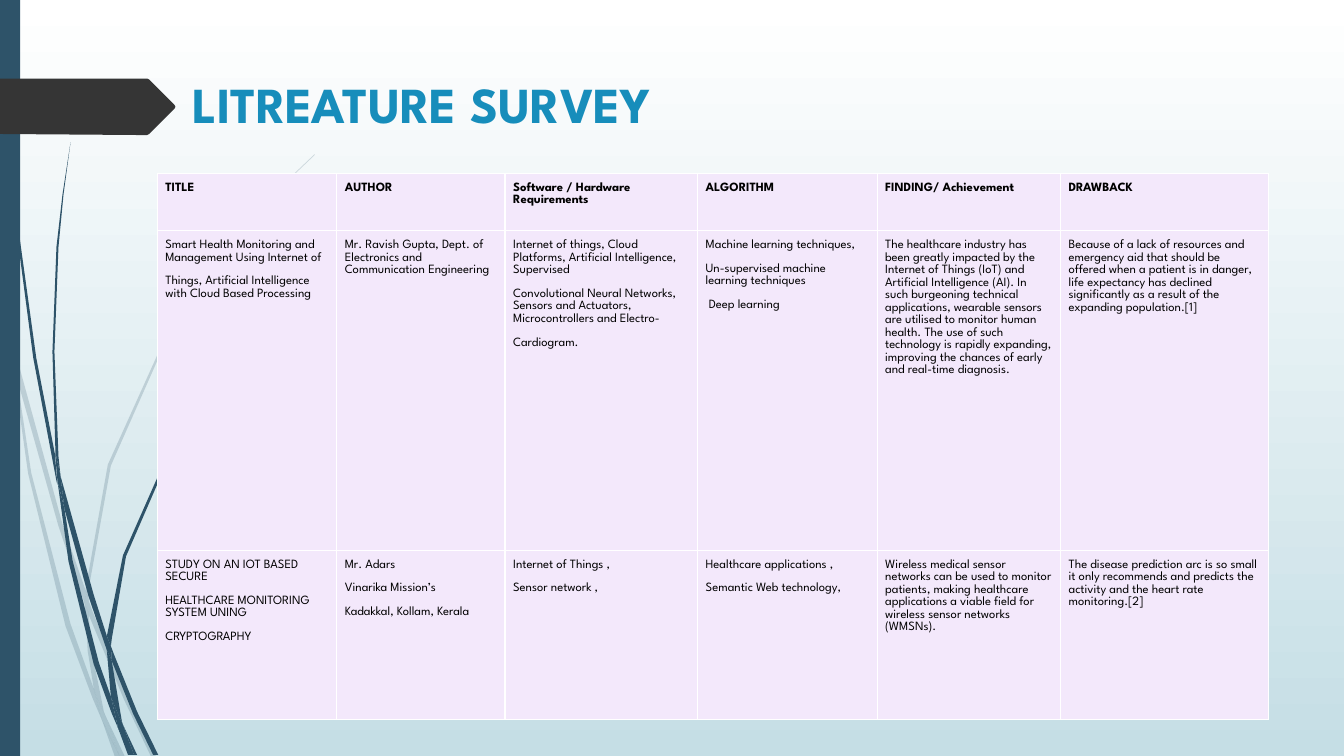
"""Builds the literature survey slide."""
from dataclasses import dataclass

from lxml import etree
from pptx import Presentation
from pptx.dml.color import RGBColor
from pptx.enum.shapes import MSO_SHAPE
from pptx.enum.text import MSO_ANCHOR, MSO_AUTO_SIZE, PP_ALIGN
from pptx.oxml.ns import qn
from pptx.util import Pt

RECTANGLE = MSO_SHAPE.RECTANGLE
TOP, LEFT, NO_FIT = MSO_ANCHOR.TOP, PP_ALIGN.LEFT, MSO_AUTO_SIZE.NONE
EMU_PER_PX = 9144
TITLE_ONLY = 5


@dataclass(frozen=True)
class Theme:
    """Colours, font and type sizes of the slide."""
    font: str = "League Spartan"
    sky: str = "FFFFFF"
    mist: str = "C5DEE5"
    reed: str = "2E5369"
    tag: str = "353535"
    title: str = "178DBB"
    ink: str = "000000"
    cell: str = "F3E8FB"
    border: str = "FFFFFF"
    title_size: int = 36
    cell_size: int = 9
    pale_alpha: int = 20


THEME = Theme()

PALE_REEDS = [
    [(11, 350), (9, 322), (0, 282), (0, 299), (10, 344)],
    [(58, 522), (84, 599), (85, 586), (62, 520), (14, 345), (17, 376)],
    [(92, 607), (88, 596), (88, 610), (123, 694), (150, 751), (155, 751), (127, 692)],
    [(119, 751), (124, 751), (105, 711)],
    [(93, 683), (70, 619), (31, 469), (17, 376), (11, 350), (28, 470), (65, 621), (92, 693),
     (101, 714), (99, 707)],
    [(84, 599), (87, 646), (93, 683), (96, 692), (105, 711), (103, 706), (91, 646), (88, 610),
     (88, 608)],
    [(88, 584), (110, 462), (160, 349), (229, 245), (268, 198), (290, 175), (312, 154),
     (312, 153), (289, 175), (268, 197), (228, 244), (158, 348), (107, 461), (85, 584),
     (85, 586), (88, 596)],
    [(101, 714), (114, 751), (119, 751)],
    [(88, 608), (88, 610), (88, 596), (85, 586), (84, 599)],
    [(96, 692), (93, 683), (99, 707), (101, 714), (119, 751), (105, 711)],
]
DARK_REEDS = [
    [(7, 110), (17, 233), (33, 355), (56, 477), (57, 481), (55, 457), (55, 453), (36, 355),
     (19, 232), (8, 109), (5, 48), (4, 0), (3, 0), (4, 48)],
    [(88, 592), (106, 645), (106, 633), (106, 631), (93, 590), (60, 472), (64, 505)],
    [(113, 649), (110, 641), (111, 656), (132, 708), (152, 749), (157, 749), (136, 706)],
    [(110, 691), (98, 657), (72, 556), (64, 505), (57, 477), (68, 557), (93, 659), (111, 708),
     (117, 722), (116, 717)],
    [(60, 472), (58, 453), (54, 349), (58, 245), (63, 193), (70, 141), (62, 193), (56, 245),
     (52, 349), (55, 449)],
    [(133, 749), (136, 749), (122, 719)],
    [(57, 477), (64, 505), (60, 472), (55, 449), (55, 453)],
    [(111, 633), (125, 552), (158, 476), (205, 406), (231, 374), (245, 359), (261, 344),
     (260, 344), (245, 358), (231, 373), (204, 405), (156, 474), (122, 551), (106, 631),
     (110, 641)],
    [(117, 722), (127, 749), (131, 749)],
    [(106, 645), (110, 691), (116, 706), (122, 719), (121, 716), (111, 656), (109, 651)],
    [(106, 645), (109, 651), (111, 656), (110, 641), (106, 631), (106, 633)],
    [(116, 706), (110, 691), (116, 717), (117, 722), (130, 749), (133, 749), (122, 719)],
]
TITLE_TAG = [(173, 108), (148, 133), (146, 134), (136, 134), (0, 133), (0, 78), (136, 78),
             (146, 78), (148, 79), (173, 104), (174, 106)]

COLUMN_WIDTHS = [178, 167, 191, 178, 182, 206]
ROW_HEIGHTS = [57, 317, 168]
SURVEY = [
    ["TITLE", "AUTHOR", "Software / Hardware Requirements", "ALGORITHM",
     "FINDING/ Achievement", "DRAWBACK"],
    ["Smart Health Monitoring and Management Using Internet of\n"
     "Things, Artificial Intelligence with Cloud Based Processing",
     "Mr. Ravish Gupta, Dept. of Electronics and Communication Engineering",
     "Internet of things, Cloud Platforms, Artificial Intelligence, Supervised\n"
     "Convolutional Neural Networks, Sensors and Actuators, Microcontrollers and Electro-\n"
     "Cardiogram.",
     "Machine learning techniques,\nUn-supervised machine learning techniques\n Deep learning",
     "The healthcare industry has been greatly impacted by the Internet of Things (IoT) and "
     "Artificial Intelligence (AI). In such burgeoning technical applications, wearable sensors "
     "are utilised to monitor human health. The use of such technology is rapidly expanding, "
     "improving the chances of early and real-time diagnosis.",
     "Because of a lack of resources and emergency aid that should be offered when a patient is "
     "in danger, life expectancy has declined significantly as a result of the expanding "
     "population.[1]"],
    ["STUDY ON AN IOT BASED SECURE\nHEALTHCARE MONITORING SYSTEM UNING\nCRYPTOGRAPHY",
     "Mr. Adars\nVinarika Mission’s\nKadakkal, Kollam, Kerala",
     "Internet of Things ,\nSensor network ,",
     "Healthcare applications ,\nSemantic Web technology,",
     "Wireless medical sensor networks can be used to monitor patients, making healthcare "
     "applications a viable field for wireless sensor networks (WMSNs).",
     "The disease prediction arc is so small it only recommends and predicts the activity and "
     "the heart rate monitoring.[2]"],
]


def px(length):
    """Turn pixels into EMU."""
    return length * EMU_PER_PX


def rgb(code):
    """Turn a hex code into a colour."""
    return RGBColor.from_string(code)


def write(frame, text, *, size, color, bold=False, spacing=1.0, after=0):
    """Fill a text frame with one paragraph per line of text."""
    frame.word_wrap = True
    for index, line in enumerate(text.split("\n")):
        paragraph = frame.add_paragraph() if index else frame.paragraphs[0]
        paragraph.alignment = LEFT
        paragraph.line_spacing = spacing
        paragraph.space_after = Pt(after)
        run = paragraph.add_run()
        run.text = line
        run.font.name = THEME.font
        run.font.size = Pt(size)
        run.font.bold = bold
        run.font.color.rgb = rgb(color)


def paint(shape, color, alpha=100):
    """Give a shape a plain fill without line or shadow."""
    shape.shadow.inherit = False
    shape.line.fill.background()
    shape.fill.solid()
    shape.fill.fore_color.rgb = rgb(color)
    if alpha < 100:
        fill_color = shape.element.spPr.find(".//" + qn("a:srgbClr"))
        etree.SubElement(fill_color, qn("a:alpha"), val=str(alpha * 1000))


def add_outline(slide, points, color, alpha=100):
    """Draw a filled shape through the points."""
    builder = slide.shapes.build_freeform(*points[0], scale=EMU_PER_PX)
    builder.add_line_segments(points[1:], close=True)
    paint(builder.convert_to_shape(), color, alpha)


def add_side_bar(slide, box):
    """Draw the bar along the left edge."""
    paint(slide.shapes.add_shape(RECTANGLE, *map(px, box)), THEME.reed)


def add_title(slide, text, box):
    """Place and format the title."""
    title = slide.shapes.title
    title.left, title.top, title.width, title.height = map(px, box)
    title.text_frame.vertical_anchor = TOP
    title.text_frame.auto_size = NO_FIT
    write(title.text_frame, text, size=THEME.title_size, color=THEME.title, bold=True)


def format_cell(cell, text, bold):
    """Write a cell and give it borders, insets and fill."""
    cell.margin_left = cell.margin_right = cell.margin_top = cell.margin_bottom = px(8)
    properties = cell._tc.get_or_add_tcPr()
    for side in ("lnL", "lnR", "lnT", "lnB"):
        border = etree.SubElement(properties, qn("a:" + side), w=str(Pt(1)))
        border_fill = etree.SubElement(border, qn("a:solidFill"))
        etree.SubElement(border_fill, qn("a:srgbClr"), val=THEME.border)
    cell.fill.solid()
    cell.fill.fore_color.rgb = rgb(THEME.cell)
    write(cell.text_frame, text, size=THEME.cell_size, color=THEME.ink, bold=bold,
          spacing=1.07, after=8)


def add_survey(slide, left, top):
    """Add the survey table with a bold heading row."""
    survey = slide.shapes.add_table(
        len(ROW_HEIGHTS), len(COLUMN_WIDTHS), px(left), px(top),
        px(sum(COLUMN_WIDTHS)), px(sum(ROW_HEIGHTS))).table
    survey.first_row = survey.horz_banding = False
    for column, width in zip(survey.columns, COLUMN_WIDTHS):
        column.width = px(width)
    for index, (row, height, entries) in enumerate(zip(survey.rows, ROW_HEIGHTS, SURVEY)):
        row.height = px(height)
        for cell, entry in zip(row.cells, entries):
            format_cell(cell, entry, bold=index == 0)


def set_background(slide):
    """Shade the background from top to bottom."""
    fill = slide.background.fill
    fill.gradient()
    fill.gradient_angle = 270
    for stop, color in zip(fill.gradient_stops, (THEME.sky, THEME.mist)):
        stop.color.rgb = rgb(color)


def main():
    """Build and save the slide."""
    deck = Presentation()
    deck.slide_width, deck.slide_height = px(1333), px(750)
    slide = deck.slides.add_slide(deck.slide_layouts[TITLE_ONLY])
    set_background(slide)
    for reed in PALE_REEDS:
        add_outline(slide, reed, THEME.reed, THEME.pale_alpha)
    for reed in DARK_REEDS:
        add_outline(slide, reed, THEME.reed)
    add_side_bar(slide, (0, 0, 20, 750))
    add_outline(slide, TITLE_TAG, THEME.tag)
    add_title(slide, "LITREATURE SURVEY", (181, 68, 1077, 140))
    add_survey(slide, 156, 172)
    deck.save("out.pptx")


if __name__ == "__main__":
    main()
